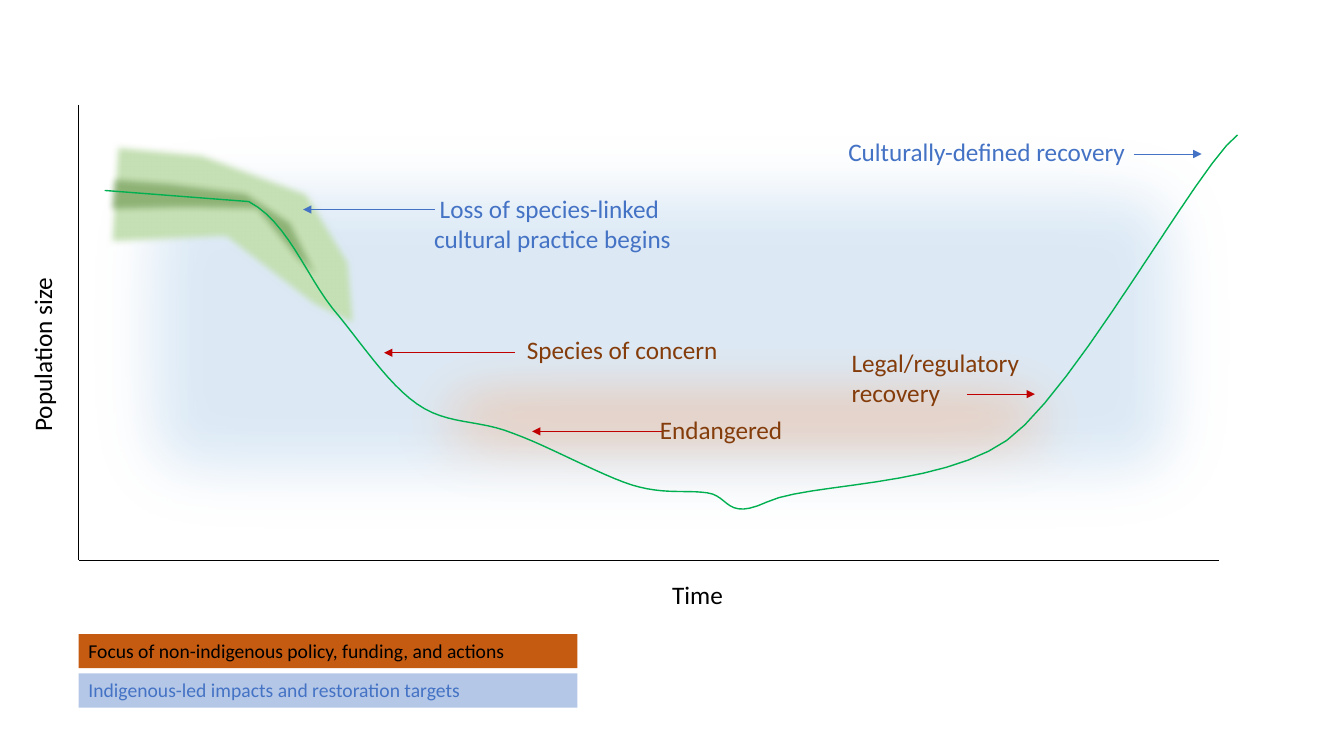
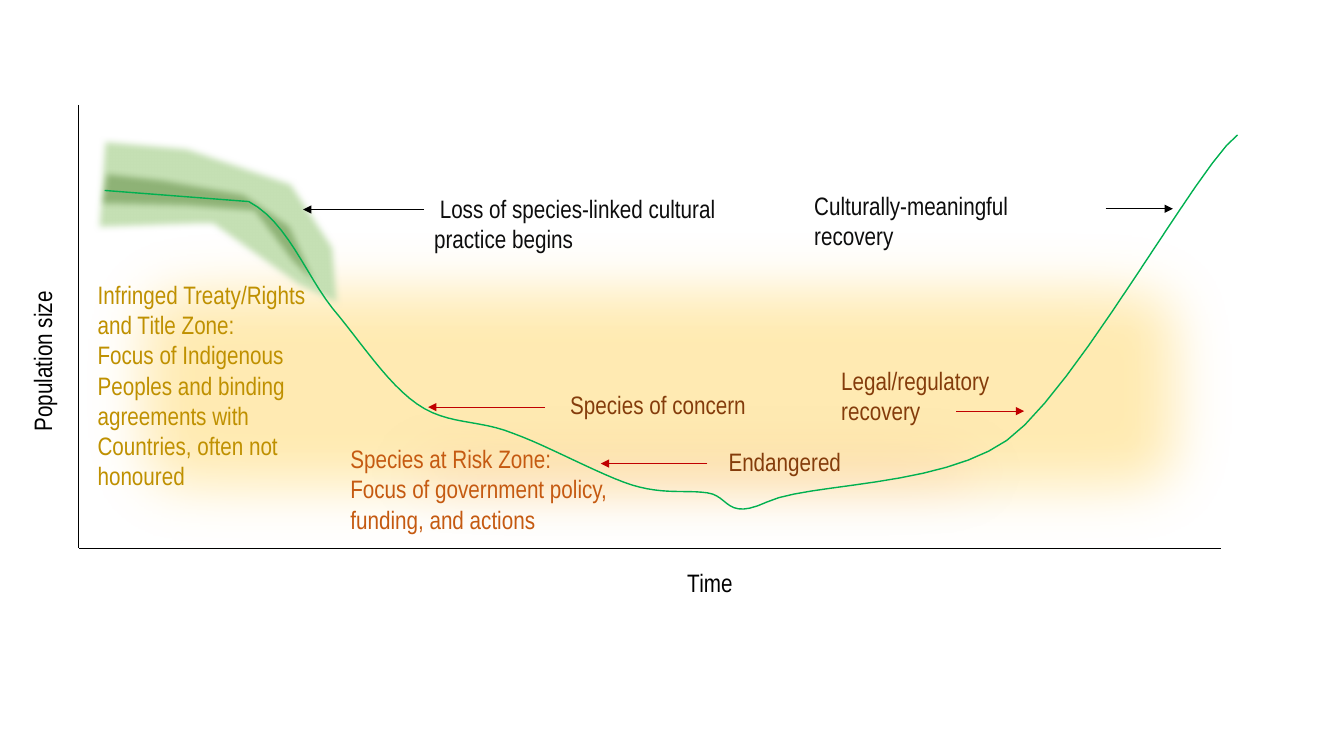
from lxml import etree
from pptx import Presentation
from pptx import util as u
from pptx.dml.color import RGBColor
from pptx.enum import shapes, text
from pptx.oxml import ns

COLORS = {
    "black": "000000", "ink": "0D0D0D", "blue": "4472C4", "pale_blue": "BDD7EE",
    "legend_blue": "B4C7E7", "red": "C00000", "brown": "843C0B", "rust": "C55A11",
    "peach": "F4B183", "yellow": "FFD966", "gold": "BF9000",
    "light_green": "C5E0B4", "dark_green": "548235", "curve_green": "00B050",
}
ZONE_EDGE, BAND_EDGE = 50, 5  # soft edge radius in points
LABEL_HEIGHT = 1.02
CURVE_STEPS = 12

# Population curve, in cm from the top left of the plot: a line, then cubics
DECLINE_START = (0.66, 2.16)
DECLINE_BEND = (4.29, 2.44)
CURVE_CUBICS = [
    ((5.26, 2.95), (5.72, 4.27), (6.4, 5.13)),
    ((7.11, 5.97), (7.77, 7.01), (8.53, 7.54)),
    ((9.3, 8.08), (10.06, 7.92), (10.95, 8.28)),
    ((11.86, 8.61), (13.13, 9.32), (13.94, 9.58)),
    ((14.76, 9.83), (15.29, 9.7), (15.85, 9.78)),
    ((16.41, 9.86), (16.31, 10.49), (17.35, 10.01)),
    ((18.36, 9.53), (21.69, 9.65), (23.39, 8.46)),
    ((25.1, 7.26), (28.27, 1.42), (29.21, 0.76)),
]


def rgb(color):
    return RGBColor.from_string(COLORS[color])


def sub(parent, tag, **attributes):
    return etree.SubElement(parent, ns.qn(tag), attributes)


def paint(shape, color, alpha=100, soft=0):
    """Fill without outline, optionally see-through and with a soft edge."""
    shape.fill.solid()
    shape.fill.fore_color.rgb = rgb(color)
    shape.line.fill.background()
    shape.shadow.inherit = False
    properties = shape._element.spPr
    if alpha < 100:
        tint = properties.find(ns.qn("a:solidFill")).find(ns.qn("a:srgbClr"))
        sub(tint, "a:alpha", val=str(alpha * 1000))
    if soft:
        effects = properties.find(ns.qn("a:effectLst"))
        sub(effects, "a:softEdge", rad=str(u.Pt(soft)))


def add_text(slide, box, *paragraphs, font="Calibri", size=18, color="black",
             fill=None, rotation=0):
    label = slide.shapes.add_textbox(*map(u.Cm, box))
    label.rotation = rotation
    if fill:
        paint(label, fill)
    frame = label.text_frame
    frame.word_wrap = True
    frame.auto_size = text.MSO_AUTO_SIZE.SHAPE_TO_FIT_TEXT
    for index, wording in enumerate(paragraphs):
        paragraph = frame.add_paragraph() if index else frame.paragraphs[0]
        run = paragraph.add_run()
        run.text = wording
        run.font.name = font
        run.font.size = u.Pt(size)
        run.font.color.rgb = rgb(color)


def add_line(slide, start, end, color="black", arrow=False):
    line = slide.shapes.add_connector(
        shapes.MSO_CONNECTOR.STRAIGHT, *map(u.Cm, (*start, *end)))
    line.line.color.rgb = rgb(color)
    line.line.width = u.Pt(0.5)
    if arrow:
        sub(line.line._get_or_add_ln(), "a:tailEnd", type="triangle")
    sub(line._element.spPr, "a:effectLst")


def add_outline(slide, box, points, close):
    left, top = box[:2]
    placed = [(u.Cm(left + x), u.Cm(top + y)) for x, y in points]
    builder = slide.shapes.build_freeform(*placed[0])
    builder.add_line_segments(placed[1:], close=close)
    return builder.convert_to_shape()


def add_zone(slide, box, area, color):
    x, y, width, height = area
    zone = slide.shapes.add_shape(
        shapes.MSO_SHAPE.RECTANGLE,
        *map(u.Cm, (box[0] + x, box[1] + y, width, height)))
    paint(zone, color, alpha=50, soft=ZONE_EDGE)


def add_bands(slide, box, outer, inner):
    paint(add_outline(slide, box, outer, True), "light_green", soft=BAND_EDGE)
    paint(add_outline(slide, box, inner, True), "dark_green", alpha=48,
          soft=BAND_EDGE)


def add_callout(slide, box, wording, place, arrow, color, arrow_color, font):
    left, top = box[:2]
    x, y, width = place
    tail, tip, level = arrow
    add_line(slide, (left + tail, top + level), (left + tip, top + level),
             arrow_color, arrow=True)
    add_text(slide, (left + x, top + y, width, LABEL_HEIGHT), wording,
             font=font, color=color)


def curve_points():
    points = [DECLINE_START, DECLINE_BEND]
    for first, second, end in CURVE_CUBICS:
        start = points[-1]
        for step in range(1, CURVE_STEPS + 1):
            t = step / CURVE_STEPS
            s = 1 - t
            points.append(tuple(
                s**3 * a + 3 * s * s * t * b + 3 * s * t * t * c + t**3 * d
                for a, b, c, d in zip(start, first, second, end)))
    return points


def add_population_curve(slide, box):
    curve = add_outline(slide, box, curve_points(), False)
    curve.fill.background()
    curve.line.color.rgb = rgb("curve_green")
    curve.line.width = u.Pt(1)
    curve.shadow.inherit = False


def add_axes(slide, box, time_x, font):
    left, top, width, height = box
    bottom = top + height
    add_line(slide, (left, top), (left, bottom))
    add_line(slide, (left + width, bottom), (left, bottom))
    add_text(slide, (left + time_x, bottom + 0.36, 2.08, LABEL_HEIGHT),
             "Time", font=font)
    add_text(slide, (left - 3.71, top + 5.18, 5.59, LABEL_HEIGHT),
             "Population size", font=font, rotation=270)


def add_legend(slide, box, entries):
    left, top, width, height = box
    for row, (wording, fill, color) in enumerate(entries):
        add_text(slide, (left, top + row * 0.99, width, height), wording,
                 size=14, color=color, fill=fill)


def build_plot(slide, box, plot):
    for area, color in plot["zones"]:
        add_zone(slide, box, area, color)
    add_bands(slide, box, plot["outer_band"], plot["inner_band"])
    for callout in plot["callouts"]:
        add_callout(slide, box, *callout, plot["font"])
    add_population_curve(slide, box)
    add_axes(slide, box, plot["time_x"], plot["font"])
    for (x, y, width, height), color, paragraphs in plot["zone_notes"]:
        add_text(slide, (box[0] + x, box[1] + y, width, height), *paragraphs,
                 font=plot["font"], color=color)


LOSS = " Loss of species-linked cultural practice begins"
CONCERN, ENDANGERED = "Species of concern", "Endangered"
LEGAL = "Legal/regulatory recovery"

# Callouts: wording, label (x, y, width), arrow (tail, tip, level), colours
FOCUS_PLOT = {
    "font": "Calibri",
    "time_x": 14.71,
    "zones": [((-0.41, 0, 30.23, 11.48), "pale_blue"),
              ((6.86, 4.95, 19.86, 5.87), "peach")],
    "outer_band": [(0.86, 0.91), (3.28, 1.14), (5.89, 2.11), (6.93, 3.81),
                   (7.11, 5.82), (5.77, 5.16), (3.58, 3.48), (0.69, 3.61)],
    "inner_band": [(0.76, 1.7), (2.44, 1.83), (4.37, 2.08), (5.49, 2.82),
                   (6.71, 5.31), (5.31, 3.96), (4.34, 2.77), (2.72, 2.74),
                   (0.66, 2.79)],
    "callouts": [
        (LOSS, (8.71, 2.11, 7.65), (8.97, 5.66, 2.64), "blue", "blue"),
        (CONCERN, (11.05, 5.66, 6.15), (11, 7.7, 6.25), "brown", "red"),
        (ENDANGERED, (14.4, 7.67, 3.86), (14.71, 11.43, 8.23), "brown", "red"),
        (LEGAL, (19.23, 5.99, 4.88), (22.4, 24.1, 7.29), "brown", "red"),
        ("Culturally-defined recovery", (19.15, 0.66, 7.98),
         (26.59, 28.3, 1.24), "blue", "blue"),
    ],
    "zone_notes": [],
}
RIGHTS_PLOT = {
    "font": "Arial Narrow",
    "time_x": 15.09,
    "zones": [((-0.61, 2.44, 30.51, 9.45), "yellow"),
              ((5.87, 6.81, 19.35, 4.83), "peach")],
    "outer_band": [(0.53, 0.76), (2.9, 0.97), (5.51, 1.85), (6.55, 3.43),
                   (6.71, 5.31), (5.38, 4.67), (3.23, 3.15), (0.36, 3.25)],
    "inner_band": [(0.58, 1.55), (2.31, 1.75), (4.32, 2.11), (5.46, 2.9),
                   (6.6, 5.46), (5.21, 4.06), (4.27, 2.82), (2.57, 2.69),
                   (0.41, 2.64)],
    "callouts": [
        (LOSS, (8.71, 2.11, 7.65), (8.71, 5.66, 2.64), "ink", "black"),
        (CONCERN, (12.14, 7.04, 6.15), (11.76, 8.81, 7.62), "brown", "red"),
        (ENDANGERED, (16.13, 8.48, 3.86), (15.85, 13.16, 9.04), "brown", "red"),
        (LEGAL, (18.97, 6.43, 4.88), (22.12, 23.83, 7.72), "brown", "red"),
        ("Culturally-meaningful recovery", (18.29, 2.03, 7.4),
         (25.88, 27.58, 2.62), "ink", "black"),
    ],
    "zone_notes": [
        ((0.23, 4.27, 6.05, 5.64), "gold",
         ("Infringed Treaty/Rights and Title Zone:",
          "Focus of Indigenous Peoples and binding agreements with Countries, "
          "often not honoured")),
        ((6.6, 8.41, 8.03, 3.33), "rust",
         ("Species at Risk Zone:",
          "Focus of government policy, funding, and actions")),
    ],
}
LEGEND = [
    ("Focus of non-indigenous policy, funding, and actions", "rust", "black"),
    ("Indigenous-led impacts and restoration targets", "legend_blue", "blue"),
]

deck = Presentation()
deck.slide_width, deck.slide_height = u.Cm(33.87), u.Cm(19.05)
blank = deck.slide_layouts[6]

# Slide 1: policy focus against Indigenous-led targets
focus_slide = deck.slides.add_slide(blank)
build_plot(focus_slide, (1.98, 2.64, 28.73, 11.48), FOCUS_PLOT)
add_legend(focus_slide, (1.98, 15.98, 12.57, 0.86), LEGEND)

# Slide 2: rights zone and species at risk zone
rights_slide = deck.slides.add_slide(blank)
build_plot(rights_slide, (1.98, 2.64, 28.78, 11.18), RIGHTS_PLOT)

deck.save("out.pptx")
